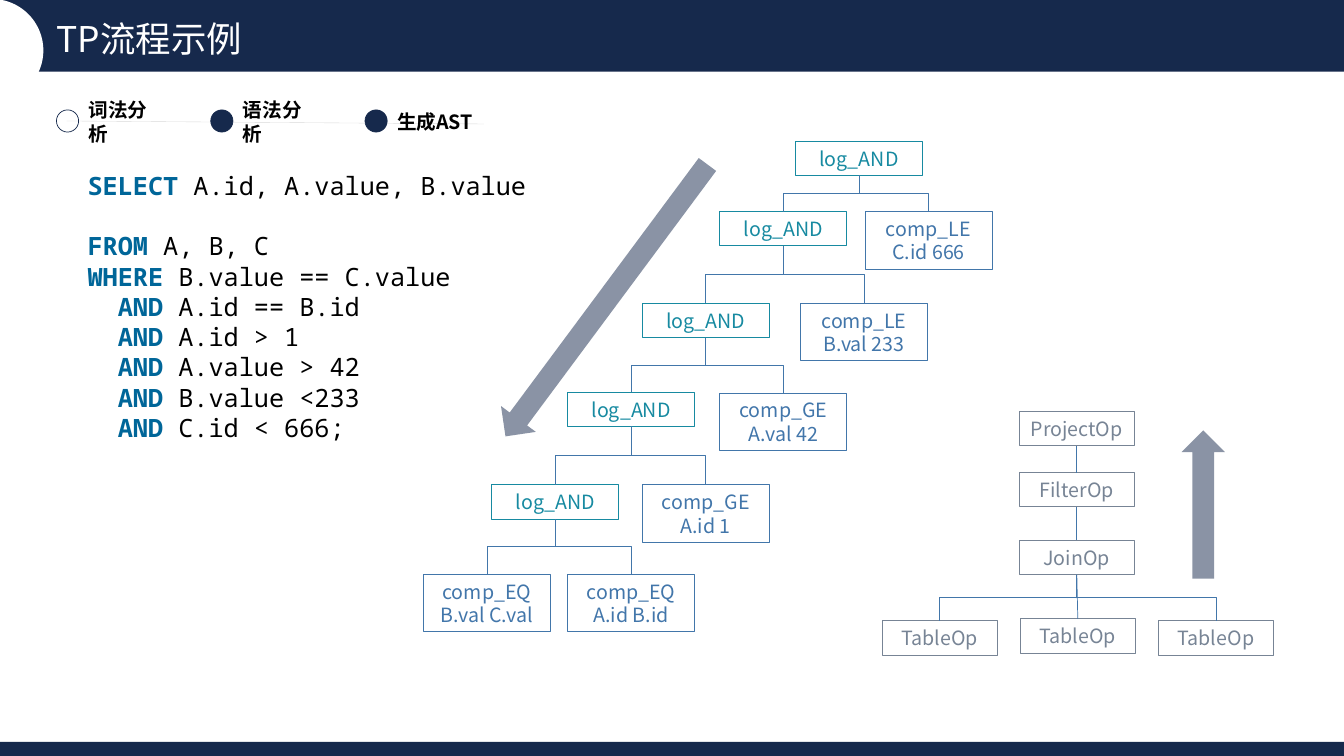
from pptx import Presentation
from pptx.dml.color import RGBColor
from pptx.enum.shapes import MSO_CONNECTOR, MSO_SHAPE
from pptx.enum.text import MSO_ANCHOR, PP_ALIGN
from pptx.oxml.ns import qn
from pptx.oxml.xmlchemy import OxmlElement
from pptx.util import Inches, Pt

SANS, MONO = "Noto Sans CJK SC", "Noto Sans Mono"
NAVY, WHITE, BLACK = "16294C", "FFFFFF", "000000"
BLUE, TEAL, GREY, KEYWORD = "4276AA", "178AA1", "778495", "006699"


def paint(shape, fill=None, line=None, weight=0.75):
    if line:
        shape.line.color.rgb = RGBColor.from_string(line)
        shape.line.width = Pt(weight)
    else:
        shape.line.fill.background()
    if hasattr(shape, "fill"):
        shape.shadow.inherit = False
        if fill:
            shape.fill.solid()
            shape.fill.fore_color.rgb = RGBColor.from_string(fill)
        else:
            shape.fill.background()
    else:
        shape._element.spPr.append(OxmlElement("a:effectLst"))
    return shape


def write(paragraph, text, size, color, font=SANS, bold=False):
    run = paragraph.add_run()
    run.text = text
    run.font.size = Pt(size)
    run.font.bold = bold
    run.font.name = font
    run.font.color.rgb = RGBColor.from_string(color)
    east_asian = OxmlElement("a:ea")
    east_asian.set("typeface", font)
    run._r.get_or_add_rPr().append(east_asian)


presentation = Presentation()
presentation.slide_width = Inches(13.33)
presentation.slide_height = Inches(7.5)
slide = presentation.slides.add_slide(presentation.slide_layouts[6])
shapes = slide.shapes
column = presentation.slide_width / 133.3
row = presentation.slide_height / 75

for kind, left, top, width, height, color in [
    (MSO_SHAPE.RECTANGLE, 0, 0, 133.3, 7.1, NAVY),
    (MSO_SHAPE.OVAL, -5.9, -0.1, 10.2, 10.2, WHITE),
    (MSO_SHAPE.RECTANGLE, 0, 73.6, 133.3, 1.4, NAVY),
]:
    paint(shapes.add_shape(kind, int(left * column), int(top * row),
                           int(width * column), int(height * row)), color)

title = shapes.add_textbox(int(5.6 * column), int(1.2 * row), int(45.1 * column), int(4.6 * row))
frame = title.text_frame
frame.word_wrap = True
frame.vertical_anchor = MSO_ANCHOR.MIDDLE
frame.margin_left = frame.margin_right = frame.margin_top = frame.margin_bottom = 0
frame.paragraphs[0].line_spacing = 1.16
write(frame.paragraphs[0], "TP流程示例", 25.3, WHITE)

query = shapes.add_textbox(int(7.7 * column), int(16.4 * row), int(46.3 * column), int(25.2 * row))
query.text_frame.word_wrap = True
for index, (keyword, clause) in enumerate([
    ("SELECT", "A.id, A.value, B.value"),
    ("FROM", "A, B, C"),
    ("WHERE", "B.value == C.value"),
    ("AND", "A.id == B.id"),
    ("AND", "A.id > 1"),
    ("AND", "A.value > 42"),
    ("AND", "B.value <233"),
    ("AND", "C.id < 666;"),
]):
    paragraph = query.text_frame.paragraphs[0] if index == 0 else query.text_frame.add_paragraph()
    if keyword == "SELECT":
        paragraph.space_after = Pt(21.5)
    if keyword == "AND":
        paragraph._p.get_or_add_pPr().set("marL", str(int(3 * column)))
    write(paragraph, keyword + " ", 18, KEYWORD, MONO, True)
    write(paragraph, clause, 18, BLACK, MONO)

nodes = {}
for name, left, top, width, color, lines in [
    ("and1", 78.9, 14.0, 12.6, TEAL, ["log_AND"]),
    ("and2", 71.4, 21.0, 12.6, TEAL, ["log_AND"]),
    ("and3", 63.7, 30.1, 12.6, TEAL, ["log_AND"]),
    ("and4", 56.3, 38.9, 12.6, TEAL, ["log_AND"]),
    ("and5", 48.8, 48.1, 12.6, TEAL, ["log_AND"]),
    ("leaf1", 85.8, 21.0, 12.6, BLUE, ["comp_LE", "C.id 666"]),
    ("leaf2", 79.4, 30.1, 12.6, BLUE, ["comp_LE", "B.val 233"]),
    ("leaf3", 71.4, 39.0, 12.6, BLUE, ["comp_GE", "A.val 42"]),
    ("leaf4", 63.7, 48.1, 12.6, BLUE, ["comp_GE", "A.id 1"]),
    ("leaf5", 56.3, 57.0, 12.6, BLUE, ["comp_EQ", "A.id B.id"]),
    ("leaf6", 42.0, 57.0, 12.6, BLUE, ["comp_EQ", "B.val C.val"]),
    ("project", 101.1, 40.8, 11.4, GREY, ["ProjectOp"]),
    ("filter", 101.1, 46.9, 11.4, GREY, ["FilterOp"]),
    ("join", 101.1, 53.6, 11.4, GREY, ["JoinOp"]),
    ("table1", 87.5, 61.6, 11.4, GREY, ["TableOp"]),
    ("table2", 101.2, 61.4, 11.4, GREY, ["TableOp"]),
    ("table3", 114.9, 61.6, 11.4, GREY, ["TableOp"]),
]:
    height = 3.4 if len(lines) == 1 else 5.7
    node = paint(shapes.add_shape(MSO_SHAPE.RECTANGLE, int(left * column), int(top * row),
                                  int(width * column), int(height * row)), line=color)
    frame = node.text_frame
    frame.margin_left = frame.margin_right = frame.margin_top = frame.margin_bottom = 0
    frame.vertical_anchor = MSO_ANCHOR.MIDDLE
    for index, text in enumerate(lines):
        paragraph = frame.paragraphs[0] if index == 0 else frame.add_paragraph()
        paragraph.alignment = PP_ALIGN.CENTER
        write(paragraph, text, 14, color)
    nodes[name] = node

edges = [("project", "filter"), ("filter", "join"), ("join", "table2"),
         ("join", "table1"), ("join", "table3"), ("and5", "leaf6"), ("and5", "leaf5")]
for level in range(1, 5):
    edges += [(f"and{level}", f"and{level + 1}"), (f"and{level}", f"leaf{level}")]

for parent, child in edges:
    straight = child in ("filter", "join", "table2")
    kind = MSO_CONNECTOR.STRAIGHT if straight else MSO_CONNECTOR.ELBOW
    connector = paint(shapes.add_connector(kind, 0, 0, 0, 0), line=BLUE, weight=0.5)
    connector.begin_connect(nodes[parent], 2)
    connector.end_connect(nodes[child], 0)
    if not straight:
        start, end = connector.begin_x, connector.end_x
        drop, spread = connector.end_y - connector.begin_y, abs(end - start)
        connector.left = int((start + end - drop) / 2)
        connector.top = int(connector.begin_y + (drop - spread) / 2)
        connector.width, connector.height = drop, spread
        transform = connector._element.spPr.find(qn("a:xfrm"))
        transform.set("rot", str((90 if end < start else 270) * 60000))
        transform.set("flipH", "0" if end < start else "1")
        transform.set("flipV", "0")

paint(shapes.add_connector(MSO_CONNECTOR.STRAIGHT, int(6.6 * column), int(12 * row),
                           int(48 * column), int(12.3 * row)), line="D9D9D9", weight=0.25)
for step, label in enumerate(["词法分析", "语法分析", "生成AST"]):
    left = 5.6 + 15.3 * step
    dot = shapes.add_shape(MSO_SHAPE.OVAL, int(left * column), int(10.9 * row),
                           int(2.2 * column), int(2.2 * row))
    paint(dot, NAVY if step else None, NAVY, 0.5)
    caption = shapes.add_textbox(int((left + 2.2) * column), int(10.1 * row),
                                 int(9.6 * column), int(4 * row))
    caption.text_frame.word_wrap = False
    caption.text_frame.vertical_anchor = MSO_ANCHOR.MIDDLE
    write(caption.text_frame.paragraphs[0], label, 14, BLACK, bold=True)

for left, top, height, angle in [(117.2, 42.7, 14.7, 0), (58, 13, 33.6, 216.6)]:
    arrow = paint(shapes.add_shape(MSO_SHAPE.UP_ARROW, int(left * column), int(top * row),
                                   int(4.3 * column), int(height * row)), NAVY)
    arrow.rotation = angle
    alpha = OxmlElement("a:alpha")
    alpha.set("val", "50000")
    arrow._element.spPr.find(qn("a:solidFill"))[0].append(alpha)

presentation.save("out.pptx")
